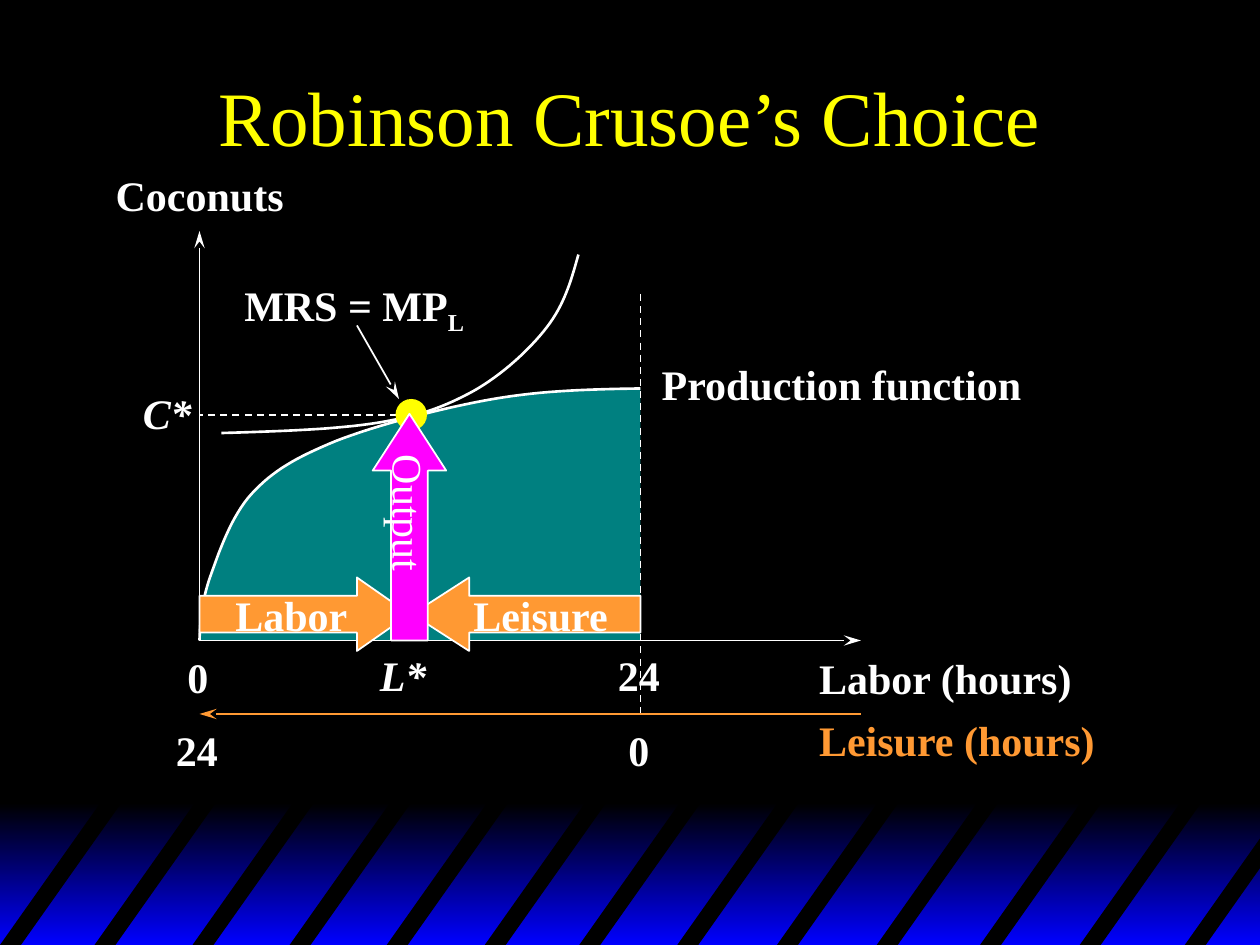
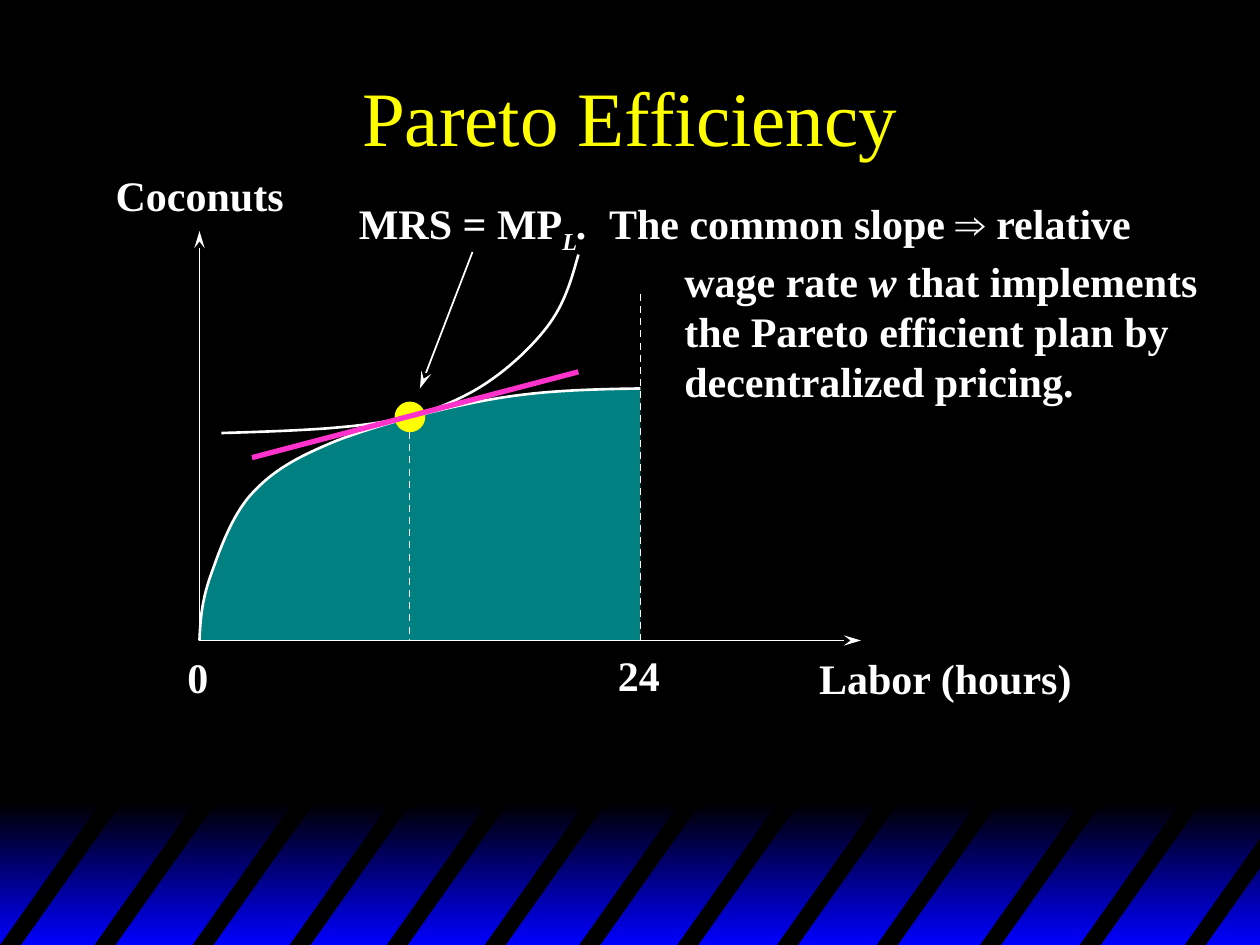
from lxml.etree import SubElement
from pptx import Presentation
from pptx.dml.color import RGBColor
from pptx.enum.dml import MSO_LINE_DASH_STYLE as DASH
from pptx.enum.shapes import MSO_CONNECTOR as CONN, MSO_SHAPE as SHAPE
from pptx.enum.text import MSO_ANCHOR as ANCHOR, MSO_AUTO_SIZE as FIT, PP_ALIGN as ALIGN
from pptx.oxml.ns import qn
from pptx.util import Pt

W, H = 720, 540
BLACK, BLUE, WHITE, YELLOW = "000000", "0000FF", "FFFFFF", "FFFF00"
CYAN, ORANGE, MAGENTA, PINK = "00FFFF", "FF9933", "FF00FF", "FF33CC"
ORIGIN_X, ORIGIN_Y, AXIS_END, HOURS_X, CHOICE_X = 114, 366, 492, 366, 234
STRIPES = [0, 54, 110, 165.5, 221, 277, 331, 387, 444, 501, 560, 617, 677]
STRIPE_W, STRIPE_DX, STRIPE_H = 12, 59, 83.5
PRODUCTION = [(ORIGIN_X, ORIGIN_Y),
              (114.5, 355, 115.2, 344, 120, 330), (125, 316, 132, 295, 144, 282),
              (156, 269, 169, 261.5, 192, 252), (215, 243, 253, 233, 282, 228),
              (311, 223, 338, 222.5, HOURS_X, 222)]
INDIFFERENCE = [(126.5, 247.5),
                (159, 246.5, 192, 245.5, 216.5, 241.5),
                (240.5, 237.5, 254, 232.5, 270.5, 223.5),
                (286.5, 214.5, 302.5, 200, 312.5, 187),
                (322.5, 174, 326.5, 160, 330.5, 145.5)]


def rgb(color):
    """Turn a hex string into a colour."""
    return RGBColor.from_string(color)


def bezier(curve, steps=16):
    """Sample a chain of cubic segments into points."""
    points = [curve[0]]
    for x1, y1, x2, y2, x3, y3 in curve[1:]:
        x0, y0 = points[-1]
        for t in (i / steps for i in range(1, steps + 1)):
            a, b, c, d = (1 - t) ** 3, 3 * t * (1 - t) ** 2, 3 * t * t * (1 - t), t ** 3
            points.append((a * x0 + b * x1 + c * x2 + d * x3,
                           a * y0 + b * y1 + c * y2 + d * y3))
    return points


class Deck:
    """Holds the presentation, its text style and the current slide."""

    base = {"name": "Times New Roman", "size": Pt(24), "bold": True, "italic": False}

    def __init__(self):
        """Start an empty presentation."""
        self.prs = Presentation()
        self.prs.slide_width, self.prs.slide_height = Pt(W), Pt(H)

    def slide(self, title):
        """Add a slide with background, striped band and title."""
        s = self.prs.slides.add_slide(self.prs.slide_layouts[6])
        self.shapes = s.shapes
        s.background.fill.solid()
        s.background.fill.fore_color.rgb = rgb(BLACK)
        self.band()
        self.text(54, 18, 612, 96, title, YELLOW, wrap=True, anchor=ANCHOR.MIDDLE,
                  align=ALIGN.CENTER, size=Pt(44), bold=False)

    def band(self):
        """Draw the blue gradient band crossed by slanted stripes."""
        sp = self.shape(SHAPE.RECTANGLE, 0, 459, W, 81, BLACK)
        sp.fill.gradient()
        sp.fill.gradient_angle = 270
        for stop, color, pos in zip(sp.fill.gradient_stops, (BLACK, BLUE), (0, 1)):
            stop.color.rgb, stop.position = rgb(color), pos
        for x in STRIPES:
            left, right = min(x + STRIPE_DX, W), min(x + STRIPE_W + STRIPE_DX, W)
            slope = STRIPE_H / STRIPE_DX
            self.outline([(x, H), (left, H - (left - x) * slope),
                          (right, H - (right - x - STRIPE_W) * slope),
                          (x + STRIPE_W, H)], fill=BLACK)

    def paint(self, sp, fill=None, line=None, weight=1):
        """Set the fill and line of a shape and drop its shadow."""
        sp.shadow.inherit = False
        for part, color in ((sp.fill, fill), (sp.line.fill, line)):
            if color:
                part.solid()
                part.fore_color.rgb = rgb(color)
            else:
                part.background()
        if line:
            sp.line.width = Pt(weight)
        return sp

    def shape(self, kind, x, y, w, h, fill, line=None):
        """Add a preset shape."""
        sp = self.shapes.add_shape(kind, Pt(x), Pt(y), Pt(w), Pt(h))
        return self.paint(sp, fill, line)

    def outline(self, points, fill=None, line=None, weight=1):
        """Add a freeform, closed when it has a fill."""
        pts = [(Pt(x), Pt(y)) for x, y in points]
        fb = self.shapes.build_freeform(*pts[0])
        fb.add_line_segments(pts[1:], close=bool(fill))
        return self.paint(fb.convert_to_shape(), fill, line, weight)

    def line(self, x1, y1, x2, y2, color=WHITE, weight=1, dash=False, arrow=False):
        """Add a straight line, dashed or with an arrowhead if asked."""
        c = self.shapes.add_connector(CONN.STRAIGHT, Pt(x1), Pt(y1), Pt(x2), Pt(y2))
        c.line.color.rgb, c.line.width = rgb(color), Pt(weight)
        if dash:
            c.line.dash_style = DASH.DASH
        if arrow:
            SubElement(c.line._get_or_add_ln(), qn("a:tailEnd"), type="stealth", len="lg")
        SubElement(c._element.spPr, qn("a:effectLst"))

    def run(self, p, text, color=WHITE, base=None, **style):
        """Add a run in the shared style with some changes."""
        r = p.add_run()
        r.text = text
        for key, value in {**self.base, **style}.items():
            setattr(r.font, key, value)
        r.font.color.rgb = rgb(color)
        if base:
            r._r.get_or_add_rPr().set("baseline", str(base))

    def box(self, x, y, w, h=36, wrap=False, anchor=ANCHOR.TOP):
        """Add an empty text box, growing unless it wraps, and return its frame."""
        tf = self.shapes.add_textbox(Pt(x), Pt(y), Pt(w), Pt(h)).text_frame
        tf.auto_size = FIT.NONE if wrap else FIT.SHAPE_TO_FIT_TEXT
        tf.word_wrap, tf.vertical_anchor = wrap, anchor
        return tf

    def text(self, x, y, w, h, text, color=WHITE, wrap=False, anchor=ANCHOR.TOP,
             align=ALIGN.LEFT, **style):
        """Add a text box with one run."""
        p = self.box(x, y, w, h, wrap, anchor).paragraphs[0]
        p.alignment = align
        self.run(p, text, color, **style)

    def label(self, x, y, w, text, color=WHITE, **style):
        """Add a one-line label."""
        self.text(x, y, w, 36, text, color, **style)

    def block_arrow(self, kind, x, y, w, h, head, fill, text, vert=None, **style):
        """Add a block arrow with centred text."""
        sp = self.shape(kind, x, y, w, h, fill, WHITE)
        sp.adjustments[0], sp.adjustments[1] = 0.5, head
        tf = sp.text_frame
        tf.word_wrap, tf.vertical_anchor = bool(vert), ANCHOR.MIDDLE
        if vert:
            tf._txBody.bodyPr.set("vert", vert)
            tf.margin_left = tf.margin_right = Pt(3.6)
            tf.margin_top = tf.margin_bottom = Pt(7.2)
        p = tf.paragraphs[0]
        p.alignment = ALIGN.CENTER
        self.run(p, text, **style)

    def economy(self, hours_bottom):
        """Draw the axes, their labels and the production set."""
        self.line(ORIGIN_X, ORIGIN_Y, ORIGIN_X, 132, arrow=True)
        self.label(461, 369.5, 159, "Labor (hours)")
        self.label(59, 93.5, 111, "Coconuts")
        frontier = bezier(PRODUCTION)
        sp = self.outline(frontier + [(HOURS_X, ORIGIN_Y)], fill=CYAN)
        SubElement(sp._element.spPr.find(".//" + qn("a:srgbClr")), qn("a:alpha"), val="50000")
        self.outline(frontier, line=WHITE, weight=1.5)
        self.line(HOURS_X, 168, HOURS_X, hours_bottom, dash=True)
        self.label(346, 367.5, 39, "24")
        self.line(ORIGIN_X, ORIGIN_Y, AXIS_END, ORIGIN_Y, arrow=True)
        self.label(100, 369, 26, "0")

    def indifference(self):
        """Draw the indifference curve."""
        self.outline(bezier(INDIFFERENCE), line=WHITE, weight=1.5)

    def choice(self):
        """Draw Robinson Crusoe's choice."""
        self.slide("Robinson Crusoe’s Choice")
        self.economy(408)
        self.label(371, 201.5, 220, "Production function")
        self.line(AXIS_END, 408, ORIGIN_X, 408, ORANGE, arrow=True)
        self.label(461, 404.5, 172, "Leisure (hours)", ORANGE)
        self.label(93.5, 410.5, 39, "24")
        self.label(352, 410.5, 26, "0")
        self.line(CHOICE_X, 237, ORIGIN_X, 237, dash=True)
        self.line(CHOICE_X, 237, CHOICE_X, ORIGIN_Y, dash=True)
        self.label(74.5, 218, 42.5, "C*", italic=True)
        self.label(210, 367.5, 41, "L*", italic=True)
        self.block_arrow(SHAPE.RIGHT_ARROW, ORIGIN_X, 330, 120, 42, 0.715, ORANGE, "Labor")
        self.block_arrow(SHAPE.LEFT_ARROW, 235.5, 330, 130.5, 42, 0.777, ORANGE, "Leisure")
        self.indifference()
        self.shape(SHAPE.OVAL, 226, 228, 18, 18, YELLOW)
        self.block_arrow(SHAPE.UP_ARROW, 213, 236.5, 42, 129.5, 0.772, MAGENTA, "Output",
                         vert="eaVert", bold=False)
        p = self.box(132.5, 156, 140, 40).paragraphs[0]
        self.run(p, "MRS = MP")
        self.run(p, "L", base=-25000)
        self.line(204, 186, 228, 228, arrow=True)

    def efficiency(self):
        """Draw the common slope at the Pareto efficient plan."""
        self.slide("Pareto Efficiency")
        self.economy(ORIGIN_Y)
        self.line(CHOICE_X, 240, CHOICE_X, ORIGIN_Y, dash=True)
        self.indifference()
        self.slope_note()
        self.line(270, 144, 240, 222, arrow=True)
        self.shape(SHAPE.OVAL, 225.5, 229.5, 17.5, 17.5, YELLOW)
        self.line(ORIGIN_X + 30, 261.5, 330.5, 212.5, PINK, 3)

    def slope_note(self):
        """Write the note on the common slope."""
        tf = self.box(198, 109.5, 510, 126.5, wrap=True)
        p = tf.paragraphs[0]
        tabs = SubElement(p._p.get_or_add_pPr(), qn("a:tabLst"))
        SubElement(tabs, qn("a:tab"), pos=str(Pt(143)), algn="l")
        for text, style in (("MRS = MP", {}), ("L", {"italic": True, "base": -25000}),
                            (".", {"italic": True}), ("\tThe common slope ", {}),
                            ("⇒", {"name": "Arial"}), (" relative", {})):
            self.run(p, text, **style)
        for parts in (("wage rate ", "w", " that implements"),
                      ("the Pareto efficient plan by",), ("decentralized pricing.",)):
            p = tf.add_paragraph()
            p._p.get_or_add_pPr().set("marL", str(Pt(186)))
            for text in parts:
                self.run(p, text, italic=text == "w")


def main():
    """Build both slides and save them."""
    deck = Deck()
    deck.choice()
    deck.efficiency()
    deck.prs.save("out.pptx")


if __name__ == "__main__":
    main()
